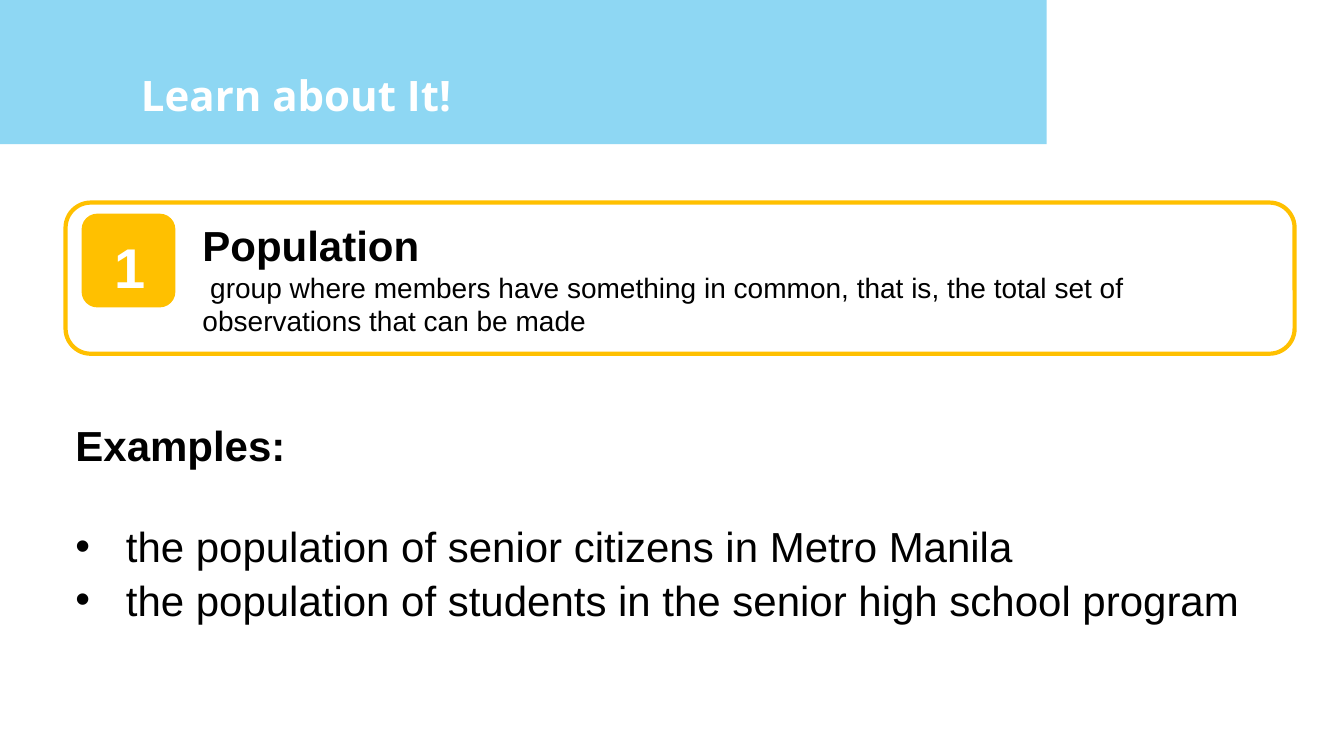
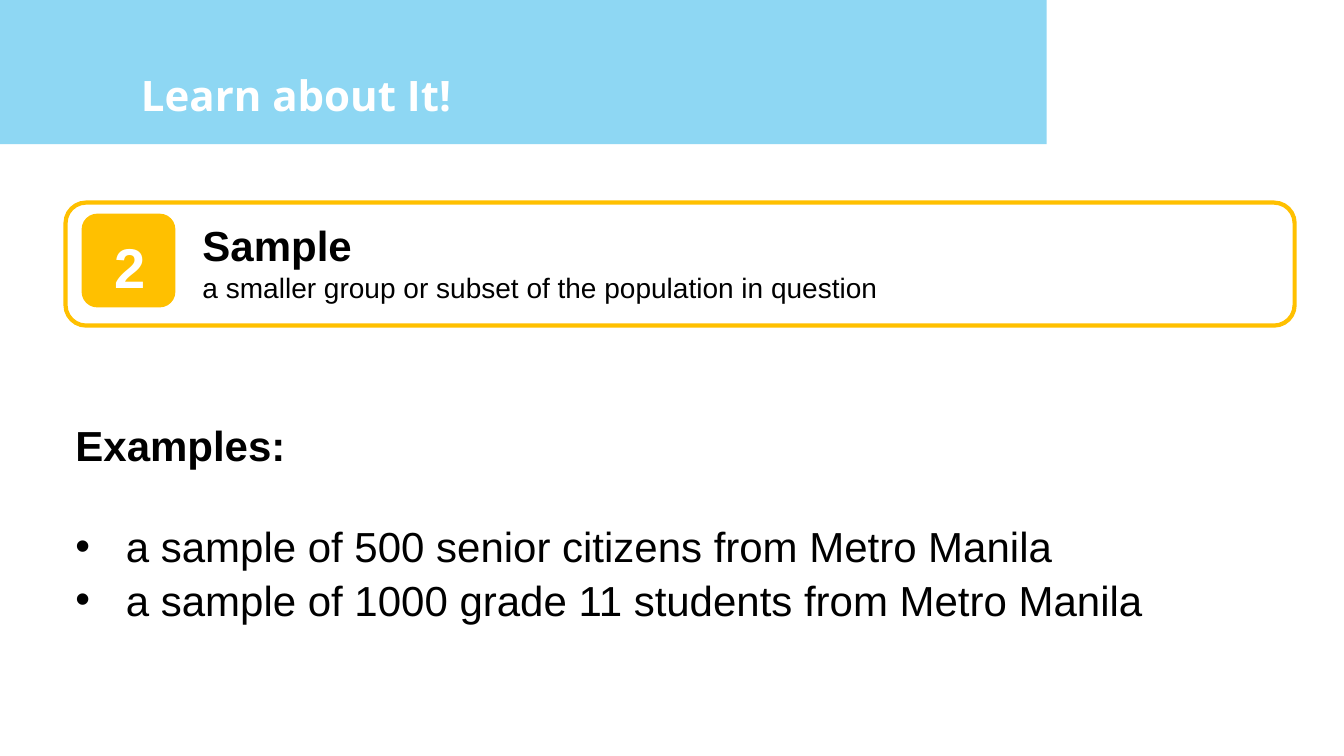
from lxml import etree
from pptx import Presentation
from pptx import util as u
from pptx.dml.color import RGBColor
from pptx.enum import shapes, text
from pptx.oxml.ns import qn

WIDE, HIGH = 13.33, 7.5
SKY, GOLD, WHITE, BLACK = "8ED7F3", "FFC000", "FFFFFF", "000000"
BODY, HEAD = "Arial", "Open Sans"
EDGE, FULL = 0.65, 12.19  # left margin and content width
RECT = shapes.MSO_SHAPE.RECTANGLE
ROUND = shapes.MSO_SHAPE.ROUNDED_RECTANGLE

TOPICS = [
    ("1", "Population",
     " group where members have something in common, that is, "
     "the total set of observations that can be made", 1.5,
     ["the population of senior citizens in Metro Manila",
      "the population of students in the senior high school program"]),
    ("2", "Sample",
     "a smaller group or subset of the population in question", 1.22,
     ["a sample of 500 senior citizens from Metro Manila",
      "a sample of 1000 grade 11 students from Metro Manila"]),
]


def color(code):
    return RGBColor.from_string(code)


def place(box):
    return [u.Inches(v) for v in box]


def block(slide, kind, box, fill=None, line=None):
    """Preset shape with a flat fill or a plain outline."""
    part = slide.shapes.add_shape(kind, *place(box))
    part.shadow.inherit = False
    if fill:
        part.fill.solid()
        part.fill.fore_color.rgb = color(fill)
    else:
        part.fill.background()
    if line:
        part.line.color.rgb = color(line)
        part.line.width = u.Pt(3)
    else:
        part.line.fill.background()
    return part


def write(part, rows, pad=(0.1, 0.1)):
    """Fill a shape with rows of (words, size, bold, colour, font)."""
    frame = part.text_frame
    frame.word_wrap = True
    frame.vertical_anchor = text.MSO_ANCHOR.TOP
    frame.margin_left, frame.margin_top = place(pad)
    frame.margin_right = frame.margin_bottom = u.Inches(0.1)
    for i, (words, size, bold, ink, face) in enumerate(rows):
        para = frame.add_paragraph() if i else frame.paragraphs[0]
        para.text = words
        para.alignment = text.PP_ALIGN.LEFT
        font = para.font
        font.size, font.bold, font.name = u.Pt(size), bold, face
        font.color.rgb = color(ink)
    return frame.paragraphs


def label(slide, box, rows):
    return write(slide.shapes.add_textbox(*place(box)), rows)


def bullet(para):
    para.space_after = u.Pt(2)
    props = para._p.get_or_add_pPr()
    props.set("marL", str(u.Inches(0.5)))
    props.set("indent", str(-u.Inches(0.5)))
    etree.SubElement(props, qn("a:buFont")).set("typeface", BODY)
    etree.SubElement(props, qn("a:buChar")).set("char", "•")


def banner(slide, box):
    x, y, w, h = box
    block(slide, RECT, box, fill=SKY)
    label(slide, (x + 1.3, y + 0.59, 5.67, 0.95),
          [("Learn about It!", 30, True, WHITE, HEAD)])


def card(slide, box, num, term, sense):
    x, y, w, h = box
    block(slide, ROUND, box, line=GOLD)
    label(slide, (x + 1.26, y + 0.07, w - 1.37, h - 0.14),
          [(term, 30, True, BLACK, BODY), (sense, 20, False, BLACK, BODY)])
    # Number badge
    badge = block(slide, ROUND, (x + 0.16, y + 0.11, 0.93, 0.93), fill=GOLD)
    write(badge, [(num, 40, True, WHITE, BODY)], pad=(0.28, 0.14))


def examples(slide, box, items):
    rows = [("Examples:", 30, True, BLACK, BODY)]
    rows += [(item, 30, False, BLACK, BODY) for item in items]
    first, *rest = label(slide, box, rows)
    first.space_after = u.Pt(36.5)
    for para in rest:
        bullet(para)


def main():
    deck = Presentation()
    deck.slide_width, deck.slide_height = place((WIDE, HIGH))
    for num, term, sense, tall, items in TOPICS:
        slide = deck.slides.add_slide(deck.slide_layouts[6])
        banner(slide, (0, 0, 10.38, 1.43))
        card(slide, (EDGE, 2.01, FULL, tall), num, term, sense)
        examples(slide, (EDGE, 4.06, FULL, 3.15), items)
    deck.save("out.pptx")


if __name__ == "__main__":
    main()
